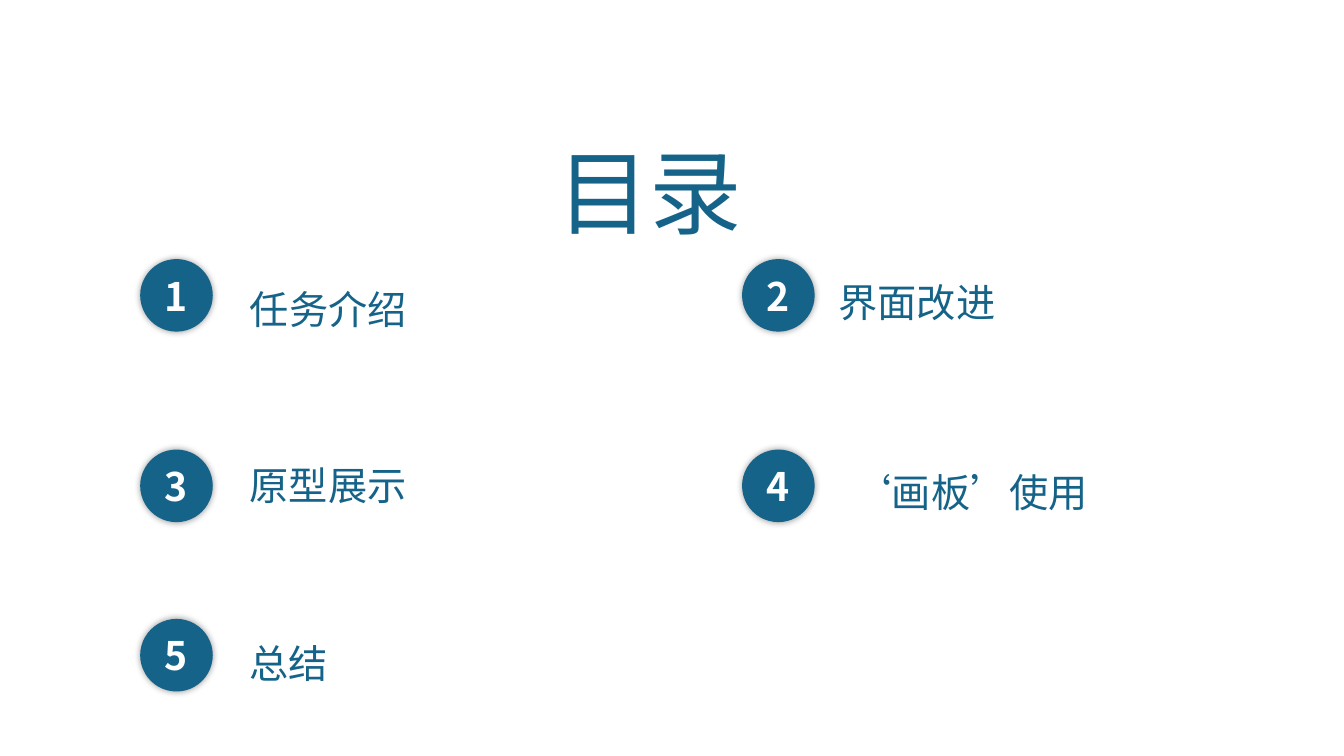
from lxml import etree
from pptx import Presentation
from pptx.dml.color import RGBColor
from pptx.enum.shapes import MSO_SHAPE
from pptx.enum.text import MSO_ANCHOR, PP_ALIGN
from pptx.oxml import parse_xml
from pptx.oxml.ns import nsdecls, qn
from pptx.util import Inches, Pt

# Content: number, circle left and top, label left, top and width, label
TITLE = "目录"
LEFT, RIGHT = 1.39, 7.36
ROWS = [2.57, 4.46, 6.14]
ITEMS = [
    ("1", LEFT, ROWS[0], (2.38, 2.78, 3.99), "任务介绍"),
    ("2", RIGHT, ROWS[0], (8.22, 2.71, 2.95), "界面改进"),
    ("3", LEFT, ROWS[1], (2.38, 4.53, 3.63), "原型展示"),
    ("4", RIGHT, ROWS[1], (8.36, 4.60, 3.12), "‘画板’使用"),
    ("5", LEFT, ROWS[2], (2.38, 6.29, 3.63), "总结"),
]
FONT = "Noto Sans CJK SC"
BLUE, WHITE = "156389", "FFFFFF"
CIRCLE, LABEL_H = 0.72, 0.57
SHADOW = (
    f'<a:effectLst {nsdecls("a")}><a:outerShdw blurRad="{Pt(5)}" dist="0" dir="0">'
    '<a:srgbClr val="000000"><a:alpha val="40000"/></a:srgbClr>'
    "</a:outerShdw></a:effectLst>"
)


def rgb(value):
    return RGBColor.from_string(value)


def write(tf, text, size, color, align=PP_ALIGN.LEFT, bold=False):
    p = tf.paragraphs[0]
    p.alignment = align
    r = p.add_run()
    r.text = text
    r.font.name, r.font.size, r.font.bold = FONT, Pt(size), bold
    r.font.color.rgb = rgb(color)
    # East Asian typeface, also for the quotation marks
    rPr = r.font._element
    rPr.set("lang", "zh-CN")
    etree.SubElement(rPr, qn("a:ea")).set("typeface", FONT)


def add_label(s, box, text, size, align=PP_ALIGN.LEFT):
    tf = s.shapes.add_textbox(*map(Inches, box)).text_frame
    tf.word_wrap = True
    write(tf, text, size, BLUE, align)


def add_number(s, left, top, number):
    sp = s.shapes.add_shape(MSO_SHAPE.OVAL, *map(Inches, (left, top, CIRCLE, CIRCLE)))
    sp.fill.solid()
    sp.fill.fore_color.rgb = rgb(BLUE)
    sp.line.fill.background()
    sp._element.spPr.append(parse_xml(SHADOW))
    tf = sp.text_frame
    tf.margin_left = tf.margin_right = tf.margin_top = tf.margin_bottom = 0
    tf.vertical_anchor = MSO_ANCHOR.MIDDLE
    write(tf, number, 28, WHITE, PP_ALIGN.CENTER, bold=True)


prs = Presentation()
prs.slide_width, prs.slide_height = Inches(13.33), Inches(7.5)
s = prs.slides.add_slide(prs.slide_layouts[6])

# Title
add_label(s, (5.43, 1.29, 2.47, 1.21), TITLE, 66, PP_ALIGN.JUSTIFY)

# Numbered entries
for number, left, top, (x, y, w), text in ITEMS:
    add_label(s, (x, y, w, LABEL_H), text, 28)
    add_number(s, left, top, number)

prs.save("out.pptx")
